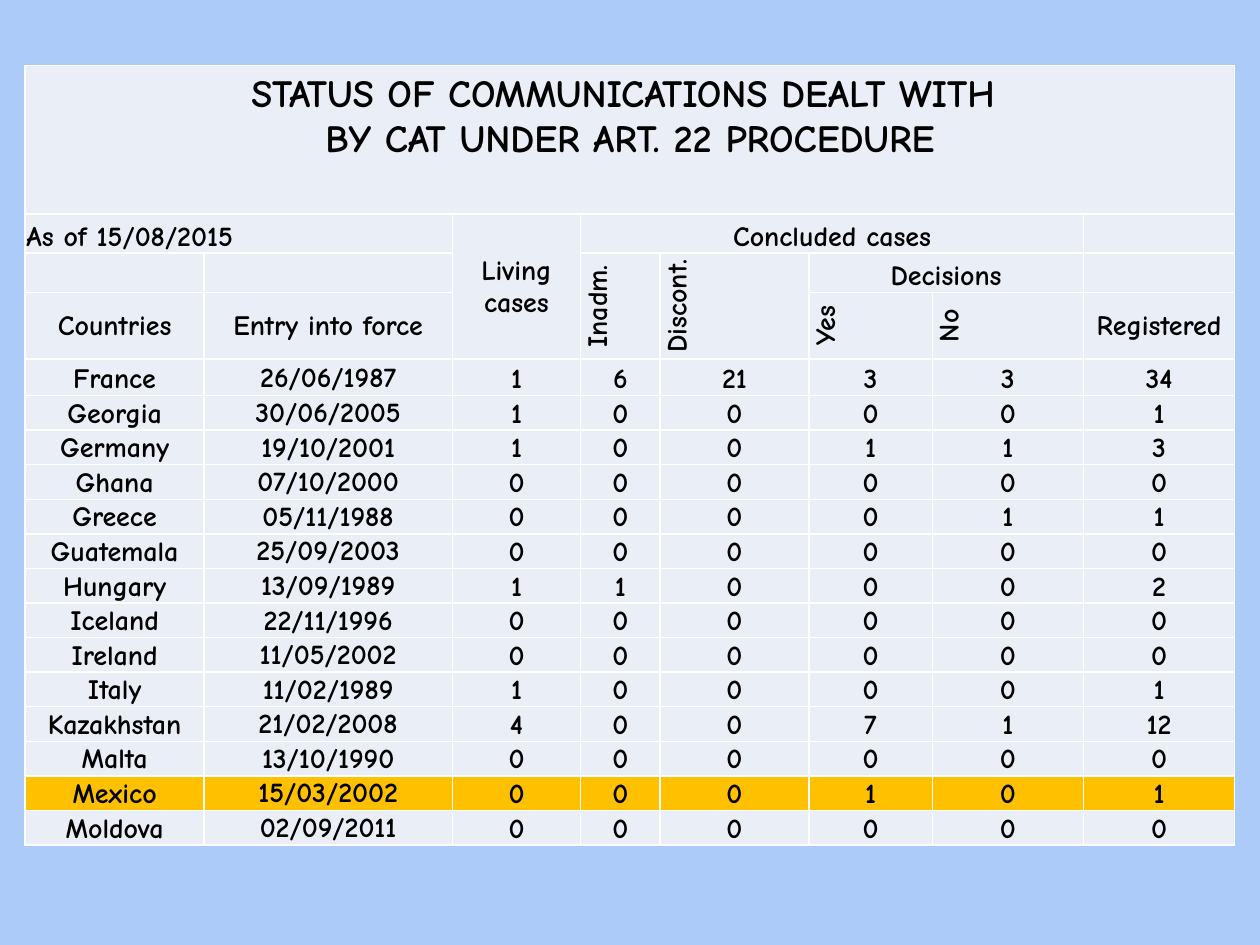
from lxml import etree
from pptx import Presentation
from pptx import util as u
from pptx.dml.color import RGBColor
from pptx.enum import text
from pptx.oxml.ns import qn

HUES = {"back": "ACCBF9", "cell": "EAEFF7", "mark": "FFC000",
        "rule": "FFFFFF", "ink": "000000"}
FONT = "Comic Neue"
WIDE, HIGH = 10, 7.5

# Grid in inches: header rows, then equal country rows fill the rest
COLS = [1.42, 1.97, 1.02, 0.63, 1.18, 0.98, 1.2, 1.2]
HEAD = [1.18, 0.31, 0.31, 0.53, 0.29]
LEFT, TOP, TALL = 0.2, 0.52, 6.19

MID, LOW = text.MSO_ANCHOR.MIDDLE, text.MSO_ANCHOR.BOTTOM

# Header cells: row, column, rows spanned, columns spanned, words, anchor, turned
HEADERS = [
    (1, 2, 3, 1, "Living cases", MID, False),
    (1, 3, 1, 4, "Concluded cases", LOW, False),
    (2, 3, 2, 1, "Inadm.", MID, True),
    (2, 4, 2, 1, "Discont.", MID, True),
    (2, 5, 1, 2, "Decisions", LOW, False),
    (3, 0, 1, 1, "Countries", MID, False),
    (3, 1, 1, 1, "Entry into force", MID, False),
    (3, 5, 1, 1, "Yes", MID, True),
    (3, 6, 1, 1, "No", MID, True),
    (3, 7, 1, 1, "Registered", MID, False),
]

# Country, entry into force, then living, inadm., discont., yes, no, registered
CASES = [
    ("France", "26/06/1987", 1, 6, 21, 3, 3, 34),
    ("Georgia", "30/06/2005", 1, 0, 0, 0, 0, 1),
    ("Germany", "19/10/2001", 1, 0, 0, 1, 1, 3),
    ("Ghana", "07/10/2000", 0, 0, 0, 0, 0, 0),
    ("Greece", "05/11/1988", 0, 0, 0, 0, 1, 1),
    ("Guatemala", "25/09/2003", 0, 0, 0, 0, 0, 0),
    ("Hungary", "13/09/1989", 1, 1, 0, 0, 0, 2),
    ("Iceland", "22/11/1996", 0, 0, 0, 0, 0, 0),
    ("Ireland", "11/05/2002", 0, 0, 0, 0, 0, 0),
    ("Italy", "11/02/1989", 1, 0, 0, 0, 0, 1),
    ("Kazakhstan", "21/02/2008", 4, 0, 0, 7, 1, 12),
    ("Malta", "13/10/1990", 0, 0, 0, 0, 0, 0),
    ("Mexico", "15/03/2002", 0, 0, 0, 1, 0, 1),
    ("Moldova", "02/09/2011", 0, 0, 0, 0, 0, 0),
]
MARKED = "Mexico"


def hue(name):
    return RGBColor.from_string(HUES[name])


def style(cell, fill):
    """Set margins, white borders and fill, and keep empty cells small."""
    cell.margin_left = cell.margin_right = cell.margin_top = u.Inches(0.01)
    cell.margin_bottom = 0
    props = cell._tc.get_or_add_tcPr()
    for side in ("lnL", "lnR", "lnT", "lnB"):
        line = etree.SubElement(props, qn("a:" + side), w=str(u.Pt(1)))
        paint = etree.SubElement(line, qn("a:solidFill"))
        etree.SubElement(paint, qn("a:srgbClr"), val=HUES["rule"])
    cell.fill.solid()
    cell.fill.fore_color.rgb = hue(fill)
    para = cell.text_frame.paragraphs[0]._p
    etree.SubElement(para, qn("a:endParaRPr"), sz="1600")


def write(cell, lines, anchor=LOW, size=16, align=text.PP_ALIGN.CENTER):
    cell.vertical_anchor = anchor
    para = cell.text_frame.paragraphs[0]
    para.alignment = align
    for i, words in enumerate(lines):
        if i:
            para.add_line_break()
        run = para.add_run()
        run.text = words
        run.font.name, run.font.size, run.font.bold = FONT, u.Pt(size), True
        run.font.color.rgb = hue("ink")


def join(table, row, col, rows, cols):
    cell = table.cell(row, col)
    if rows * cols > 1:
        cell.merge(table.cell(row + rows - 1, col + cols - 1))
    return cell


def add_grid(slide):
    count = len(CASES)
    rest = (TALL - sum(HEAD)) / (count - 1)
    rows = HEAD + [rest] * (count - 1)
    frame = slide.shapes.add_table(
        len(rows), len(COLS), u.Inches(LEFT), u.Inches(TOP),
        u.Inches(sum(COLS)), u.Inches(TALL))
    table = frame.table
    table.first_row = table.horz_banding = False
    for col, size in zip(table.columns, COLS):
        col.width = u.Inches(size)
    for row, size in zip(table.rows, rows):
        row.height = u.Inches(size)
    names = [""] * (len(rows) - count) + [case[0] for case in CASES]
    for row, name in zip(table.rows, names):
        for cell in row.cells:
            style(cell, "mark" if name == MARKED else "cell")
    return table


def add_heads(table):
    # Title sits near the top of its row
    title = join(table, 0, 0, 1, len(COLS))
    write(title, ["STATUS OF COMMUNICATIONS DEALT WITH ",
                  "BY CAT UNDER ART. 22 PROCEDURE"],
          text.MSO_ANCHOR.TOP, 22)
    title.margin_top = u.Inches(0.06)

    # Date, then column heads
    write(join(table, 1, 0, 1, 2), ["As of 15/08/2015"],
          align=text.PP_ALIGN.LEFT)
    for row, col, rows, cols, words, anchor, turned in HEADERS:
        cell = join(table, row, col, rows, cols)
        write(cell, [words], anchor)
        if turned:
            cell._tc.get_or_add_tcPr().set("vert", "vert270")


def add_cases(table):
    for row, case in enumerate(CASES, len(HEAD) - 1):
        for col, value in enumerate(case):
            write(table.cell(row, col), [str(value)], MID if col == 1 else LOW)


def main():
    deck = Presentation()
    deck.slide_width, deck.slide_height = u.Inches(WIDE), u.Inches(HIGH)
    slide = deck.slides.add_slide(deck.slide_layouts[6])
    slide.background.fill.solid()
    slide.background.fill.fore_color.rgb = hue("back")
    table = add_grid(slide)
    add_heads(table)
    add_cases(table)
    deck.save("out.pptx")


if __name__ == "__main__":
    main()
